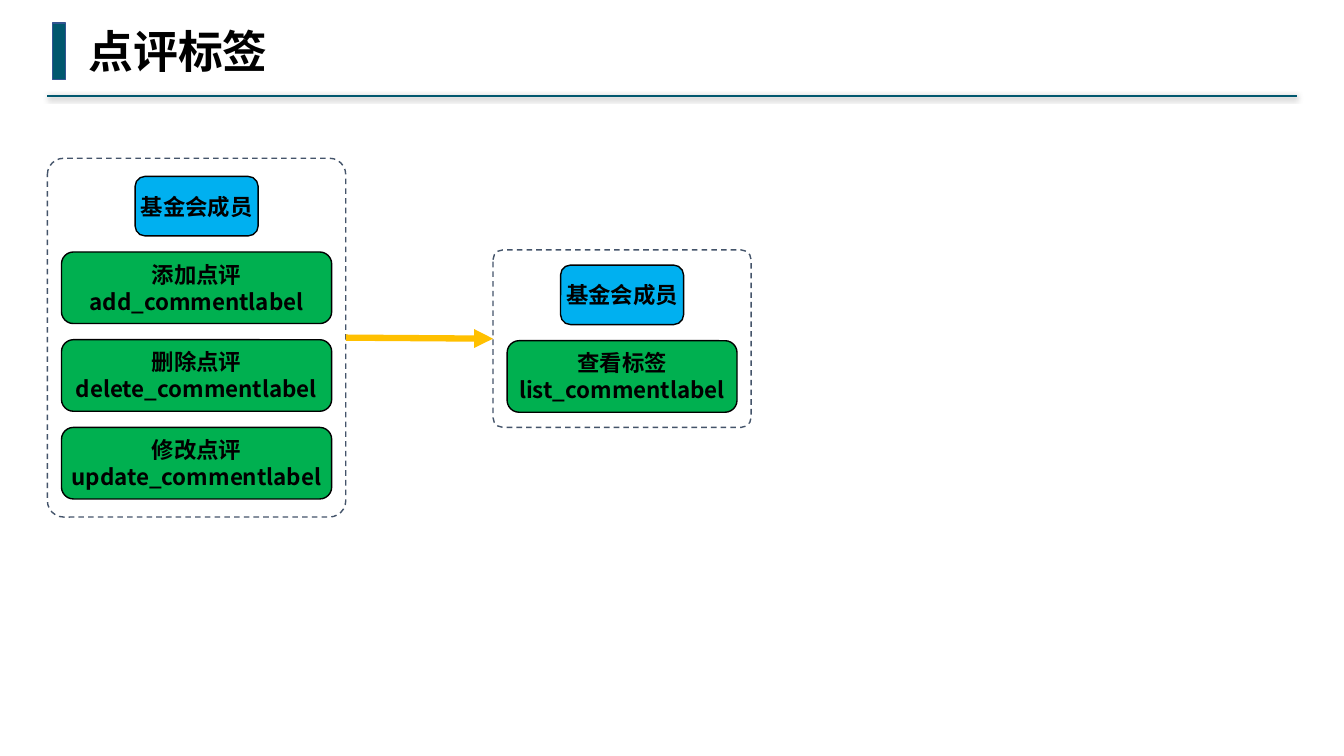
from lxml import etree
from pptx import Presentation
from pptx.dml.color import RGBColor
from pptx.enum.dml import MSO_LINE
from pptx.enum.shapes import MSO_CONNECTOR, MSO_SHAPE
from pptx.enum.text import MSO_ANCHOR, MSO_AUTO_SIZE, PP_ALIGN
from pptx.oxml.ns import qn
from pptx.util import Inches, Pt

RECT, ROUND = MSO_SHAPE.RECTANGLE, MSO_SHAPE.ROUNDED_RECTANGLE
STRAIGHT, DASH = MSO_CONNECTOR.STRAIGHT, MSO_LINE.DASH
CENTER, MIDDLE = PP_ALIGN.CENTER, MSO_ANCHOR.MIDDLE
LEFT_SIDE, RIGHT_SIDE = 1, 3

# Content
TITLE = "点评标签"
ROLE = "基金会成员"
VIEW_ACTIONS = [("查看标签", "list_commentlabel")]
EDIT_ACTIONS = [
    ("添加点评", "add_commentlabel"),
    ("删除点评", "delete_commentlabel"),
    ("修改点评", "update_commentlabel"),
]

# Theme
THEME = {
    "accent": "00576E", "accent_edge": "325491", "panel_edge": "44546A",
    "role": "00B0F0", "action": "00B050", "arrow": "FFC000", "ink": "000000",
    "title_size": 32, "body_size": 16,
    "title_font": "DejaVu Sans Mono", "body_font": "Noto Sans CJK SC",
}

# Layout in inches
SLIDE_W, SLIDE_H = 13.33, 7.5
MARGIN, RULE_Y = 0.47, 0.95
ROLE_W, ROLE_H = 1.22, 0.59
ACTION_H, GAP, SIDE_PAD = 0.71, 0.16, 0.14
INSET = 0.04


def color(name):
    return RGBColor.from_string(THEME[name])


def write(tf, lines, size="body_size", font="body_font", align=None):
    tf.word_wrap = False
    for i, line in enumerate(lines):
        p = tf.paragraphs[0] if i == 0 else tf.add_paragraph()
        p.alignment = align
        r = p.add_run()
        r.text = line
        r.font.size, r.font.bold = Pt(THEME[size]), True
        r.font.name, r.font.color.rgb = THEME[font], color("ink")
        ea = etree.SubElement(r._r.get_or_add_rPr(), qn("a:ea"))
        ea.set("typeface", THEME["body_font"])


def add_box(shapes, kind, x, y, w, h, fill=None, edge="ink", lines=()):
    sp = shapes.add_shape(kind, Inches(x), Inches(y), Inches(w), Inches(h))
    sp.shadow.inherit = False
    if fill:
        sp.fill.solid()
        sp.fill.fore_color.rgb = color(fill)
    else:
        sp.fill.background()
    sp.line.color.rgb, sp.line.width = color(edge), Pt(1)
    tf = sp.text_frame
    tf.vertical_anchor = MIDDLE
    tf.margin_left = tf.margin_right = tf.margin_top = tf.margin_bottom = Inches(INSET)
    if lines:
        write(tf, lines, align=CENTER)
    return sp


def add_line(shapes, x1, y1, x2, y2, name, width):
    cx = shapes.add_connector(STRAIGHT, Inches(x1), Inches(y1), Inches(x2), Inches(y2))
    cx.line.color.rgb, cx.line.width = color(name), Pt(width)
    effects = etree.SubElement(cx._element.spPr, qn("a:effectLst"))
    return cx, effects


def add_panel(shapes, x, y, w, pad, actions):
    """Dashed panel with a role on top and a stack of actions below."""
    group = shapes.add_group_shape().shapes
    pitch = ACTION_H + GAP
    h = 2 * pad + ROLE_H + len(actions) * pitch
    panel = add_box(group, ROUND, x, y, w, h, edge="panel_edge")
    panel.adjustments[0] = 0.055
    panel.line.dash_style = DASH
    add_box(group, ROUND, x + (w - ROLE_W) / 2, y + pad, ROLE_W, ROLE_H,
            fill="role", lines=[ROLE])
    first = y + pad + ROLE_H + GAP
    for i, lines in enumerate(actions):
        add_box(group, ROUND, x + SIDE_PAD, first + i * pitch,
                w - 2 * SIDE_PAD, ACTION_H, fill="action", lines=lines)
    return panel


def main():
    prs = Presentation()
    prs.slide_width, prs.slide_height = Inches(SLIDE_W), Inches(SLIDE_H)
    shapes = prs.slides.add_slide(prs.slide_layouts[6]).shapes

    # Header: rule with soft shadow, marker and title
    _, effects = add_line(shapes, SLIDE_W - MARGIN, RULE_Y, MARGIN, RULE_Y, "accent", 1.5)
    shadow = etree.SubElement(effects, qn("a:outerShdw"), blurRad=str(Pt(4)),
                              dist=str(Pt(1)), dir="5400000", rotWithShape="0")
    black = etree.SubElement(shadow, qn("a:srgbClr"), val=THEME["ink"])
    etree.SubElement(black, qn("a:alpha"), val="40000")
    add_box(shapes, RECT, 0.52, 0.23, 0.13, 0.56, fill="accent", edge="accent_edge")
    tf = shapes.add_textbox(Inches(0.78), Inches(0.19), Inches(2), Inches(0.64)).text_frame
    tf.auto_size = MSO_AUTO_SIZE.SHAPE_TO_FIT_TEXT
    write(tf, [TITLE], size="title_size", font="title_font")

    # Panels: editing leads to viewing
    view = add_panel(shapes, 4.89, 2.48, 2.56, 0.15, VIEW_ACTIONS)
    edit = add_panel(shapes, MARGIN, 1.57, 2.96, 0.18, EDIT_ACTIONS)

    # Arrow between the panels
    arrow, _ = add_line(shapes, 0, 0, 1, 1, "arrow", 4.5)
    arrow.begin_connect(edit, RIGHT_SIDE)
    arrow.end_connect(view, LEFT_SIDE)
    etree.SubElement(arrow.line._get_or_add_ln(), qn("a:tailEnd"), type="triangle")

    prs.save("out.pptx")


if __name__ == "__main__":
    main()
